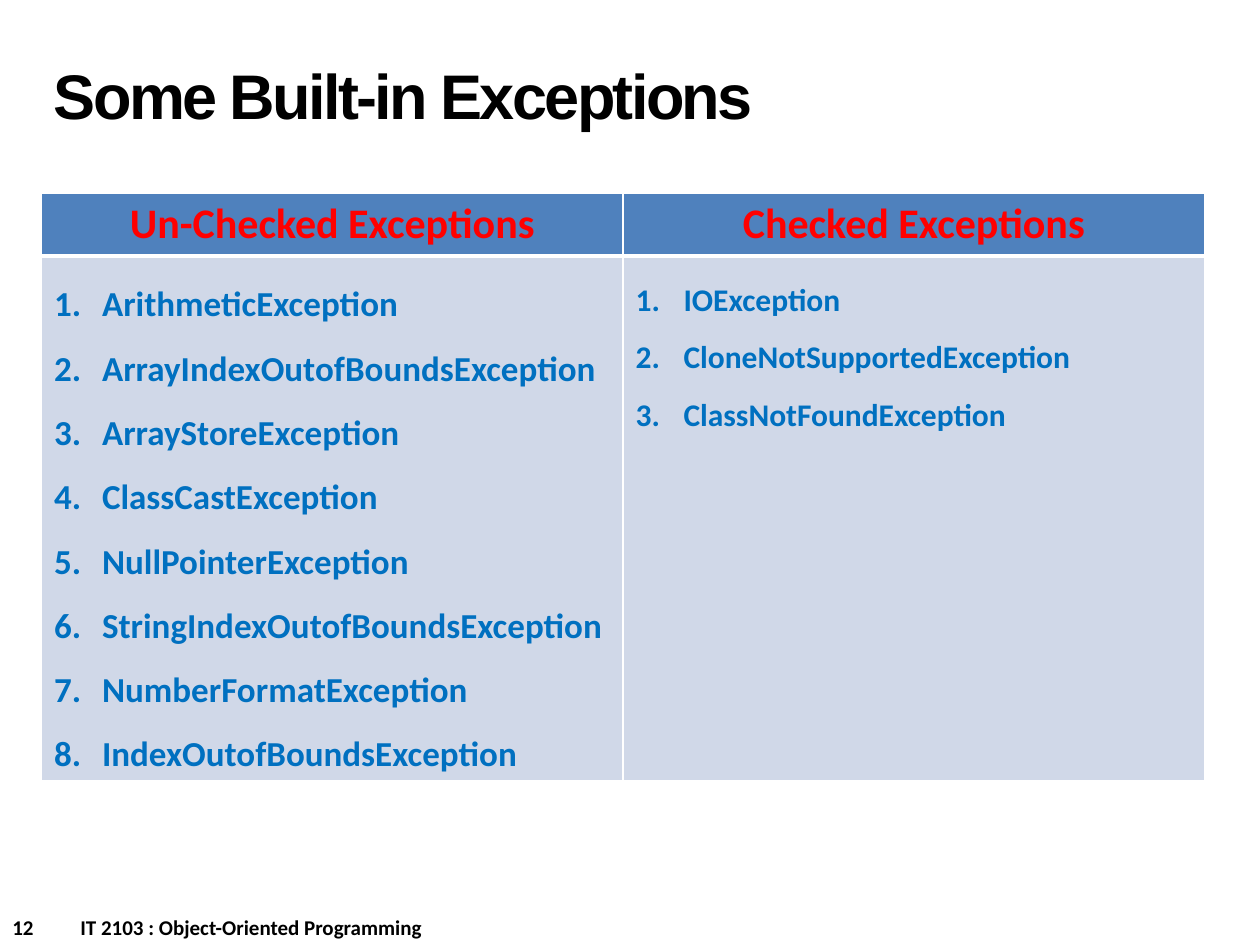
"""Build a slide that lists unchecked and checked built-in exceptions."""
from dataclasses import dataclass

import pptx
import pptx.dml.color
import pptx.enum.text
import pptx.oxml
import pptx.oxml.ns
import pptx.util

Inches = pptx.util.Inches
Pt = pptx.util.Pt
PP_ALIGN = pptx.enum.text.PP_ALIGN
MSO_ANCHOR = pptx.enum.text.MSO_ANCHOR
NS = pptx.oxml.ns.nsdecls("a")


@dataclass
class ExceptionColumn:
    """One table column: a heading and its numbered exceptions."""
    heading: str
    names: list[str]
    size: int


COLUMNS = [
    ExceptionColumn("Un-Checked Exceptions", [
        "ArithmeticException",
        "ArrayIndexOutofBoundsException",
        "ArrayStoreException",
        "ClassCastException",
        "NullPointerException",
        "StringIndexOutofBoundsException",
        "NumberFormatException",
        "IndexOutofBoundsException",
    ], 20),
    ExceptionColumn("Checked Exceptions", [
        "IOException",
        "CloneNotSupportedException",
        "ClassNotFoundException",
    ], 18),
]


def rgb(value: str) -> pptx.dml.color.RGBColor:
    """Turn a hex string into a colour."""
    return pptx.dml.color.RGBColor.from_string(value)


def format_runs(p, size: float, color: str, font: str = "Calibri") -> None:
    """Apply bold type to every run of a paragraph."""
    for r in p.runs:
        r.font.name = font
        r.font.size = Pt(size)
        r.font.bold = True
        r.font.color.rgb = rgb(color)


def add_text(s, text: str, left: float, top: float, width: float, height: float,
             size: float, font: str):
    """Add a one-paragraph text box and return its text frame."""
    sp = s.shapes.add_textbox(Inches(left), Inches(top), Inches(width), Inches(height))
    tf = sp.text_frame
    tf.word_wrap = True
    tf.text = text
    format_runs(tf.paragraphs[0], size, "000000", font)
    return tf


def add_title(s, text: str) -> None:
    """Add the tightly spaced slide title."""
    tf = add_text(s, text, 0.33, 0.17, 6.92, 1.25, 36, "Arial")
    tf.vertical_anchor = MSO_ANCHOR.MIDDLE
    p = tf.paragraphs[0]
    p.line_spacing = Pt(36)
    p.runs[0].font._element.set("spc", "-150")


def add_footer(s, number: int, course: str) -> None:
    """Add the slide number and course name, parted by a tab stop."""
    tf = add_text(s, f"{number}\t{course}", 0, 7.21, 5, 0.3, 12, "Calibri")
    pPr = tf.paragraphs[0]._p.get_or_add_pPr()
    pPr.append(pptx.oxml.parse_xml(
        f'<a:tabLst {NS}><a:tab pos="{Inches(0.54)}" algn="l"/></a:tabLst>'))


def style_cell(cell, fill: str, bottom: float, top: float) -> None:
    """Give a cell white borders and a solid fill."""
    tcPr = cell._tc.get_or_add_tcPr()
    for side, width in (("L", 1), ("R", 1), ("T", top), ("B", bottom)):
        tcPr.append(pptx.oxml.parse_xml(
            f'<a:ln{side} {NS} w="{Pt(width)}"><a:solidFill>'
            f'<a:srgbClr val="FFFFFF"/></a:solidFill></a:ln{side}>'))
    cell.fill.solid()
    cell.fill.fore_color.rgb = rgb(fill)


def number_paragraph(p) -> None:
    """Turn a paragraph into a numbered item with a hanging indent."""
    p.line_spacing = 1.5
    pPr = p._p.get_or_add_pPr()
    pPr.set("marL", str(Inches(0.38)))
    pPr.set("indent", str(-Inches(0.38)))
    pPr.append(pptx.oxml.parse_xml(f'<a:buFont {NS} typeface="+mj-lt"/>'))
    pPr.append(pptx.oxml.parse_xml(f'<a:buAutoNum {NS} type="arabicPeriod"/>'))


def add_exception_table(s, columns: list[ExceptionColumn]) -> None:
    """Add a heading row above a row of numbered lists."""
    table = s.shapes.add_table(2, len(columns), Inches(0.33), Inches(1.53),
                               Inches(9.23), Inches(4.67)).table
    table.rows[0].height = Inches(0.5)
    table.rows[1].height = Inches(4.17)
    for i, column in enumerate(columns):
        head, body = table.cell(0, i), table.cell(1, i)
        style_cell(head, "4F81BD", bottom=3, top=1)
        head.text_frame.text = column.heading
        p = head.text_frame.paragraphs[0]
        p.alignment = PP_ALIGN.CENTER
        format_runs(p, 24, "FF0000")

        style_cell(body, "D0D8E8", bottom=1, top=3)
        body.text_frame.text = "\n".join(column.names)
        for p in body.text_frame.paragraphs:
            number_paragraph(p)
            format_runs(p, column.size, "0070C0")


def main() -> None:
    """Build and save the slide."""
    prs = pptx.Presentation()
    prs.slide_width, prs.slide_height = Inches(10), Inches(7.5)
    s = prs.slides.add_slide(prs.slide_layouts[6])
    add_footer(s, 12, "IT 2103 : Object-Oriented Programming")
    add_title(s, "Some Built-in Exceptions")
    add_exception_table(s, COLUMNS)
    prs.save("out.pptx")


if __name__ == "__main__":
    main()
